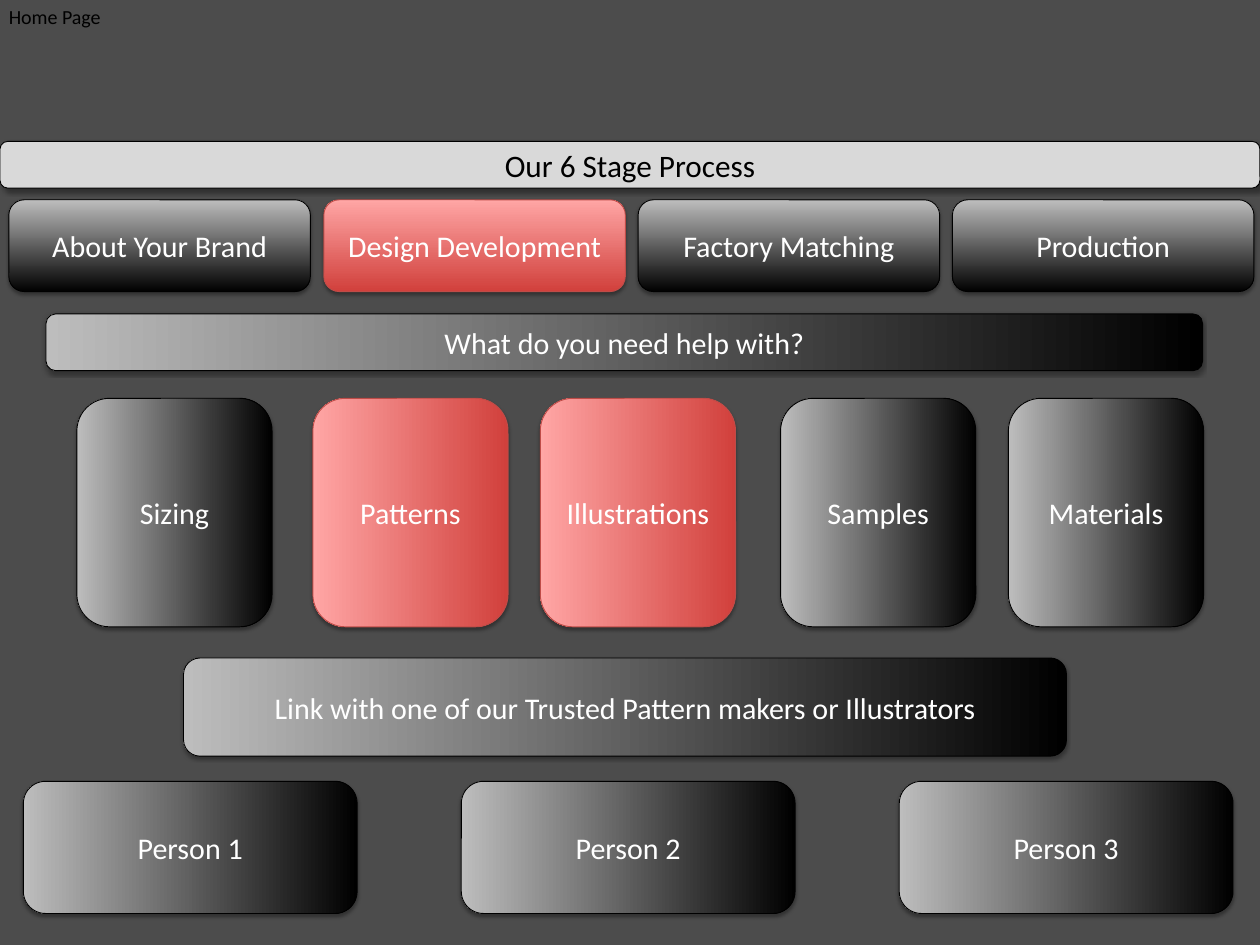
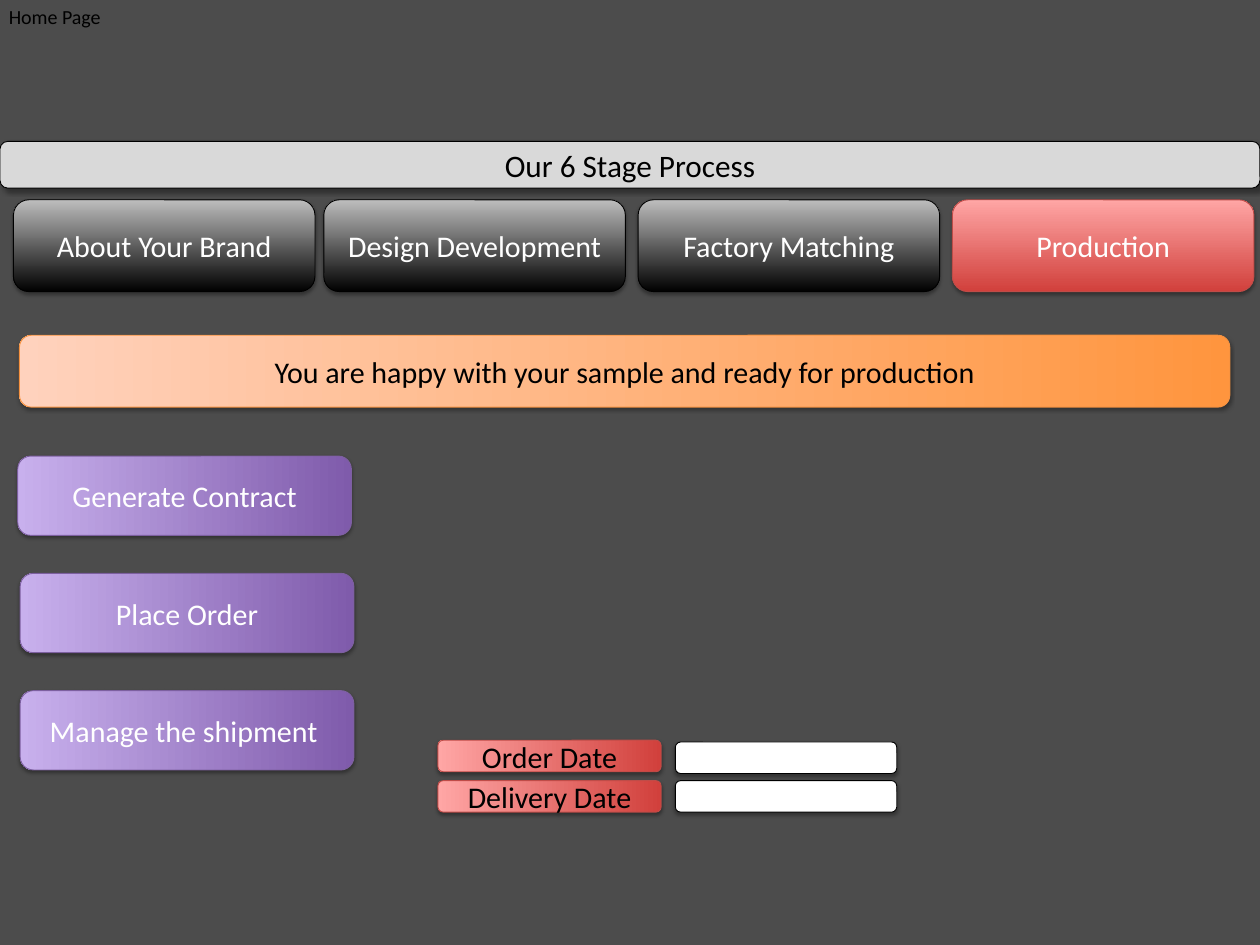
from lxml.etree import SubElement as Sub
from pptx import Presentation
from pptx.dml.color import RGBColor
from pptx.enum.shapes import MSO_SHAPE as Form
from pptx.enum.text import MSO_ANCHOR as Anchor, MSO_AUTO_SIZE as Size, PP_ALIGN as Align
from pptx.oxml.ns import qn
from pptx.util import Cm, Pt

BLACK, WHITE = "000000", "FFFFFF"
GREY = (BLACK, "BDBDBD", BLACK)
RED = ("D1403C", "FFA6A5", "BF4C48")
PEACH = ("FF953E", "FFD2BD", "F69240")
MAUVE = ("7F5BAB", "C8B0ED", "7D60A0")
PLAIN = (WHITE, None, BLACK)
SILVER = ("D9D9D9", None, BLACK)
SOFT = (35, 3.1, 1.8, 90)
DEEP = (40, 4, 3, 45)
STAGES = ("About Your Brand", "Design Development", "Factory Matching", "Production")


def tint(code):
    """Turn a hex string into a colour."""
    return RGBColor.from_string(code)


class Deck:
    """Hold the shared style and the current slide."""

    def __init__(self):
        """Open an empty deck of the right size."""
        self.prs = Presentation()
        self.prs.slide_width, self.prs.slide_height = Cm(35.56), Cm(26.67)
        self.font = "Calibri"
        self.slide = None

    def page(self, stage, first):
        """Start a slide with its title bar and stage tabs, one of them lit."""
        self.slide = self.prs.slides.add_slide(self.prs.slide_layouts[6])
        fill = self.slide.background.fill
        fill.solid()
        fill.fore_color.rgb = tint("4C4C4C")
        self.note("Home Page", 0, 0, 14.33, 0.94)
        self.box("Our 6 Stage Process", 0, 3.99, 35.56, 1.32, SILVER, BLACK, 25, DEEP)
        for i, name in enumerate(STAGES):
            left = 9.14 + 8.87 * (i - 1) if i else first
            self.box(name, left, 5.64, 8.51, 2.59, RED if name == stage else GREY)

    def run(self, para, text, size, ink):
        """Add one styled run to a paragraph."""
        run = para.add_run()
        run.text = text
        run.font.name, run.font.size = self.font, Pt(size)
        run.font.color.rgb = tint(ink)

    def note(self, text, x, y, w, h):
        """Add a small plain text box."""
        frame = self.slide.shapes.add_textbox(Cm(x), Cm(y), Cm(w), Cm(h)).text_frame
        frame.word_wrap, frame.auto_size = True, Size.SHAPE_TO_FIT_TEXT
        self.run(frame.paragraphs[0], text, 16, BLACK)

    def shade(self, shape, alpha, blur, dist, angle):
        """Give a shape an outer shadow."""
        shape.shadow.inherit = False
        glow = shape._element.spPr.find(qn("a:effectLst"))
        cast = Sub(glow, qn("a:outerShdw"), blurRad=str(Pt(blur)), dist=str(Pt(dist)),
                   dir=str(angle * 60000), rotWithShape="0")
        base = Sub(cast, qn("a:srgbClr"), val=BLACK)
        Sub(base, qn("a:alpha"), val=str(alpha * 1000))

    def box(self, text, x, y, w, h, look=GREY, ink=WHITE, size=24, cast=SOFT):
        """Add a round box with centred text."""
        shape = self.slide.shapes.add_shape(
            Form.ROUNDED_RECTANGLE, Cm(x), Cm(y), Cm(w), Cm(h))
        start, end, edge = look
        if end:
            shape.fill.gradient()
            shape.fill.gradient_angle = 90
            for stop, code in zip(shape.fill.gradient_stops, (start, end)):
                stop.color.rgb = tint(code)
        else:
            shape.fill.solid()
            shape.fill.fore_color.rgb = tint(start)
        shape.line.color.rgb, shape.line.width = tint(edge), Pt(0.75)
        self.shade(shape, *cast)
        frame = shape.text_frame
        frame.word_wrap, frame.vertical_anchor = True, Anchor.MIDDLE
        if text:
            para = frame.paragraphs[0]
            para.alignment = Align.CENTER
            self.run(para, text, size, ink)
        return shape

    def turn(self, text, x, y, w, h, look=GREY, ink=WHITE):
        """Add a box turned on its side so that it shades from left to right."""
        shift = (w - h) / 2
        shape = self.box(text, x + shift, y - shift, h, w, look, ink)
        shape.rotation = 270
        shape.text_frame._txBody.bodyPr.set("vert", "vert")


def design(deck):
    """Build the design development slide."""
    deck.page("Design Development", 0.25)
    deck.turn("What do you need help with?", 1.3, 8.86, 32.64, 1.6)
    cards = (("Sizing", 2.17, GREY), ("Patterns", 8.83, RED), ("Illustrations", 15.25, RED),
             ("Samples", 22.03, GREY), ("Materials", 28.46, GREY))
    for name, left, look in cards:
        deck.turn(name, left, 11.24, 5.51, 6.45, look)
    deck.turn("Link with one of our Trusted Pattern makers or Illustrators",
              5.18, 18.57, 24.92, 2.77)
    for i in range(3):
        deck.turn(f"Person {i + 1}", 0.66 + 12.36 * i, 22.05, 9.42, 3.73)


def produce(deck):
    """Build the production slide."""
    deck.page("Production", 0.38)
    deck.turn("You are happy with your sample and ready for production",
              0.55, 9.46, 34.16, 2.03, PEACH, BLACK)
    steps = (("Generate Contract", 0.5), ("Place Order", 0.57), ("Manage the shipment ", 0.57))
    for i, (name, left) in enumerate(steps):
        deck.turn(name, left, 12.87 + 3.31 * i, 9.42, 2.24, MAUVE)
    for name, top, slot in (("Order Date", 20.89, 20.94), ("Delivery Date", 22.03, 22.03)):
        deck.turn(name, 12.36, top, 6.3, 0.89, RED, BLACK)
        deck.turn("", 19.06, slot, 6.25, 0.89, PLAIN)


def main():
    """Build and save the deck."""
    deck = Deck()
    design(deck)
    produce(deck)
    deck.prs.save("out.pptx")


if __name__ == "__main__":
    main()
